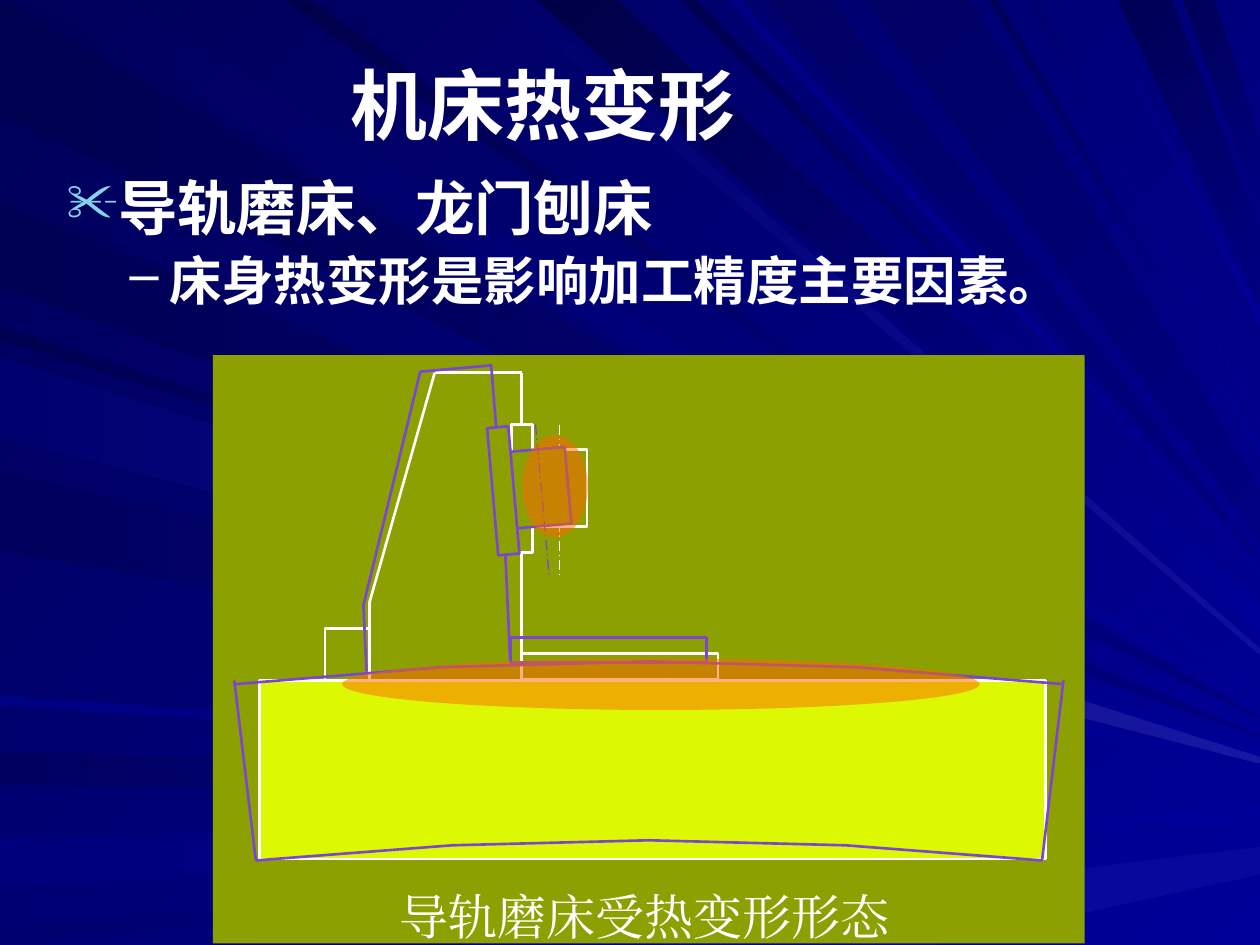
from lxml import etree
from pptx import Presentation
from pptx.dml.color import RGBColor
from pptx.enum.dml import MSO_LINE
from pptx.enum.shapes import MSO_CONNECTOR, MSO_SHAPE
from pptx.enum.text import MSO_ANCHOR, PP_ALIGN
from pptx.oxml.ns import qn
from pptx.util import Pt

RECT, OVAL, STRAIGHT = MSO_SHAPE.RECTANGLE, MSO_SHAPE.OVAL, MSO_CONNECTOR.STRAIGHT
CENTER, MIDDLE, DASH_DOT = PP_ALIGN.CENTER, MSO_ANCHOR.MIDDLE, MSO_LINE.LONG_DASH_DOT
WHITE, PURPLE, OLIVE, LIME, HEAT = "FFFFFF", "7B46D0", "8DA002", "DCF903", "FF6600"
CJK, SERIF = "Noto Sans CJK SC", "Times New Roman"

# Rays in percent of the slide width: span on the starting edge,
# span on the right edge, start colour, end colour
LEFT_RAYS = [
    (0, 9, 56.9, 57, "000051", "000080"),
    (59.6, 62.3, 63.1, 63.2, "000061", "000099"),
    (66.5, 70.4, 64.3, 65.1, "00007D", "000099"),
    (73.5, 75, 66, 66.2, "00006F", "000099"),
    (25.8, 27, 58.8, 58.9, "000053", "000099"),
    (15.9, 22.8, 58.4, 58.5, "000055", "000080"),
    (27.8, 34.2, 59.6, 60.2, "000061", "000099"),
    (37.4, 43.7, 60.5, 60.6, "00005D", "000099"),
    (55.2, 56, 62.1, 62.3, "000082", "000099"),
    (28.3, 34.7, 60.1, 60.6, "00006F", "1717A2"),
]
TOP_RAYS = [
    (2.6, 10, 56.2, 56.3, "00005D", "000099"),
    (39.8, 41.6, 51.5, 52, "00006B", "0F0F9F"),
    (42.6, 49, 47.9, 50.7, "000047", "000099"),
    (54, 55.2, 46.2, 46.3, "00004F", "000099"),
    (60.6, 66, 44.5, 44.6, "000065", "000080"),
    (88.7, 93, 18.3, 23.7, "000055", "000080"),
    (93.9, 96.4, 11.4, 16.7, "000059", "000080"),
    (22.5, 24.7, 54.7, 55.2, "00004A", "000099"),
    (57.7, 58.8, 45.3, 45.4, "000082", "000099"),
    (68.6, 77, 39, 42.8, "000065", "000080"),
    (78.5, 79.2, 35.4, 36, "000058", "000099"),
    (81.5, 82.4, 33.5, 33.6, "00006F", "000099"),
    (86.5, 87.2, 24.9, 25.8, "000079", "000099"),
]
BOTTOM_RAYS = [(36.4, 74.2, 67.2, 69.4, "000099", "08089C")]


def rgb(value):
    return RGBColor.from_string(value)


def paint(fill, first, last=None, angle=0):
    if first is None:
        fill.background()
    elif last is None:
        fill.solid()
        fill.fore_color.rgb = rgb(first)
    else:
        fill.gradient()
        fill.gradient_angle = -angle % 360
        for stop, color in zip(fill.gradient_stops, (first, last)):
            stop.color.rgb = rgb(color)


def outline(sp, color, width=1.5):
    if color is None:
        sp.line.fill.background()
    else:
        sp.line.color.rgb = rgb(color)
        sp.line.width = Pt(width)


def add_path(s, points, close):
    corners = [(Pt(x), Pt(y)) for x, y in points]
    builder = s.shapes.build_freeform(*corners[0], scale=1.0)
    builder.add_line_segments(corners[1:], close=close)
    sp = builder.convert_to_shape()
    sp.shadow.inherit = False
    return sp


def add_text(s, x, y, w, h, lines, size, font=CJK, bold=True):
    tf = s.shapes.add_textbox(Pt(x), Pt(y), Pt(w), Pt(h)).text_frame
    tf.word_wrap = True
    tf.text = "\n".join(lines)
    for p in tf.paragraphs:
        r = p.runs[0]
        r.font.size, r.font.bold, r.font.name = Pt(size), bold, font
        r.font.color.rgb = rgb(WHITE)
        etree.SubElement(r.font._element, qn("a:ea")).set("typeface", font)
    return tf


def add_bullet(p, char, color, percent, margin, hang):
    ppr = p._p.get_or_add_pPr()
    ppr.set("marL", str(Pt(margin)))
    ppr.set("indent", str(-Pt(hang)))
    clr = etree.SubElement(ppr, qn("a:buClr"))
    etree.SubElement(clr, qn("a:srgbClr")).set("val", color)
    etree.SubElement(ppr, qn("a:buSzPct")).set("val", str(percent * 1000))
    etree.SubElement(ppr, qn("a:buChar")).set("char", char)


def background(s, x, y, w, h):
    def ray(start, end, tip_top, tip_bottom, first, last, angle):
        tips = [(x + w, y + tip * w / 100) for tip in (tip_bottom, tip_top)]
        sp = add_path(s, [start, end, *tips], True)
        paint(sp.fill, first, last, angle)
        outline(sp, None)

    paint(s.background.fill, "000058", "000099", 45)
    for a, b, *rest in LEFT_RAYS:
        ray((x, y + a * w / 100), (x, y + b * w / 100), *rest, 0)
    for edge, rays, angle in ((y, TOP_RAYS, 45), (y + h, BOTTOM_RAYS, 0)):
        for a, b, *rest in rays:
            low, high = (x + a * w / 100, edge), (x + b * w / 100, edge)
            ends = (high, low) if edge == y else (low, high)
            ray(*ends, *rest, angle)


def title(s, x, y, w, h):
    tf = add_text(s, x, y, w, h, ["机床热变形"], 44)
    tf.vertical_anchor = MIDDLE
    tf.paragraphs[0].alignment = CENTER
    tf.paragraphs[0].line_spacing = 0.87


def body(s, x, y, w, h):
    tf = add_text(s, x, y, w, h, ["导轨磨床、龙门刨床", "床身热变形是影响加工精度主要因素。"], 34)
    p, sub = tf.paragraphs
    add_bullet(p, "✂", "86D1EC", 90, 27, 27)
    add_bullet(sub, "–", WHITE, 100, 58.5, 22.5)
    p.line_spacing = sub.line_spacing = 0.87
    sub.level = 1
    sub.space_before = Pt(7.5)
    sub.runs[0].font.size = Pt(30)


def diagram(s, x, y, w, h):
    def block(left, top, width, height, fill, line=None, kind=RECT, rotation=0):
        sp = s.shapes.add_shape(kind, Pt(x + left), Pt(y + top), Pt(width), Pt(height))
        sp.shadow.inherit = False
        sp.rotation = rotation
        paint(sp.fill, fill)
        outline(sp, line)
        return sp

    def segment(start, end, color, width=1.5, dash=None):
        (x1, y1), (x2, y2) = start, end
        c = s.shapes.add_connector(STRAIGHT, Pt(x + x1), Pt(y + y1), Pt(x + x2), Pt(y + y2))
        outline(c, color, width)
        c.line.dash_style = dash
        etree.SubElement(c._element.spPr, qn("a:effectLst"))

    def curve(points):
        sp = add_path(s, [(x + px, y + py) for px, py in points], False)
        paint(sp.fill, None)
        outline(sp, PURPLE)

    def bow(left, right, base, rise):
        steps = [i / 2 for i in range(-2, 3)]
        middle, half = (left + right) / 2, (right - left) / 2
        curve([(middle + t * half, base - rise * (1 - t * t)) for t in steps])

    head, slide, table = (37.4, 43.9), (12.2, 73), (112.3, 14.4)
    axis_top, axis_bottom, bed_top = 39.6, 126.7, 185.8

    block(0, 0, w, h, OLIVE)

    # Cold machine: bed, column, grinding head, motor and table
    block(26.6, bed_top, 449.3, 102.2, LIME, WHITE)
    column = [(89.3, bed_top), (89.3, 141.8), (126.7, 10), (176.4, 10), (176.4, bed_top)]
    for start, end in zip(column, column[1:]):
        segment(start, end, WHITE)
    block(176.4, 54, *head, OLIVE, WHITE)
    block(170.6, 39.6, *slide, OLIVE, WHITE)
    segment((198, axis_top), (198, axis_bottom), WHITE, 0.75, DASH_DOT)
    block(64, 156.2, 25.2, 29.5, OLIVE, WHITE)
    block(176.4, 170.6, *table, OLIVE, WHITE)

    # Warped bed
    bow(13, 485.3, 187.9, 12.9)
    bow(24.5, 473.8, 288.7, 11.5)
    segment((486, bed_top), (473.8, 288.7), PURPLE)
    segment((12.2, bed_top), (24.5, 288.7), PURPLE)

    # Leaning column, table and grinding head
    curve([(87.8, 180.7), (86, 143), (118.5, 9.4), (159, 5.8), (166.3, 95.8), (169.9, 175)])
    block(169.9, 161.3, *table, None, PURPLE)
    block(165.6, 54, *head, OLIVE, PURPLE, rotation=355)
    block(159.8, 41, *slide, OLIVE, PURPLE, rotation=355)
    segment((184.3, axis_top), (192.2, axis_bottom), PURPLE, 0.75, DASH_DOT)

    # Half-transparent heat zones
    for zone in ((241.2, 5.8, 29.5, 364.3), (166.3, 56.2, 58.3, 37.4)):
        sp = block(*zone, HEAT, kind=OVAL, rotation=270)
        clr = sp._element.spPr.find(qn("a:solidFill"))[0]
        etree.SubElement(clr, qn("a:alpha")).set("val", "50000")

    # Caption
    tf = add_text(s, x + 96.5, y + 300.2, 300.2, 36.7, ["导轨磨床受热变形形态"], 28, SERIF, False)
    tf.margin_left = tf.margin_top = tf.margin_right = tf.margin_bottom = 0
    tf.paragraphs[0].alignment = CENTER
    tf.paragraphs[0].line_spacing = 1.1


def main():
    prs = Presentation()
    prs.slide_width, prs.slide_height = Pt(720), Pt(540)
    s = prs.slides.add_slide(prs.slide_layouts[6])
    background(s, 0, 0, 720, 540)
    title(s, 30.2, 18, 560.2, 90)
    body(s, 31, 100, 648, 378)
    diagram(s, 121.7, 203, 498.2, 336.2)
    prs.save("out.pptx")


if __name__ == "__main__":
    main()
